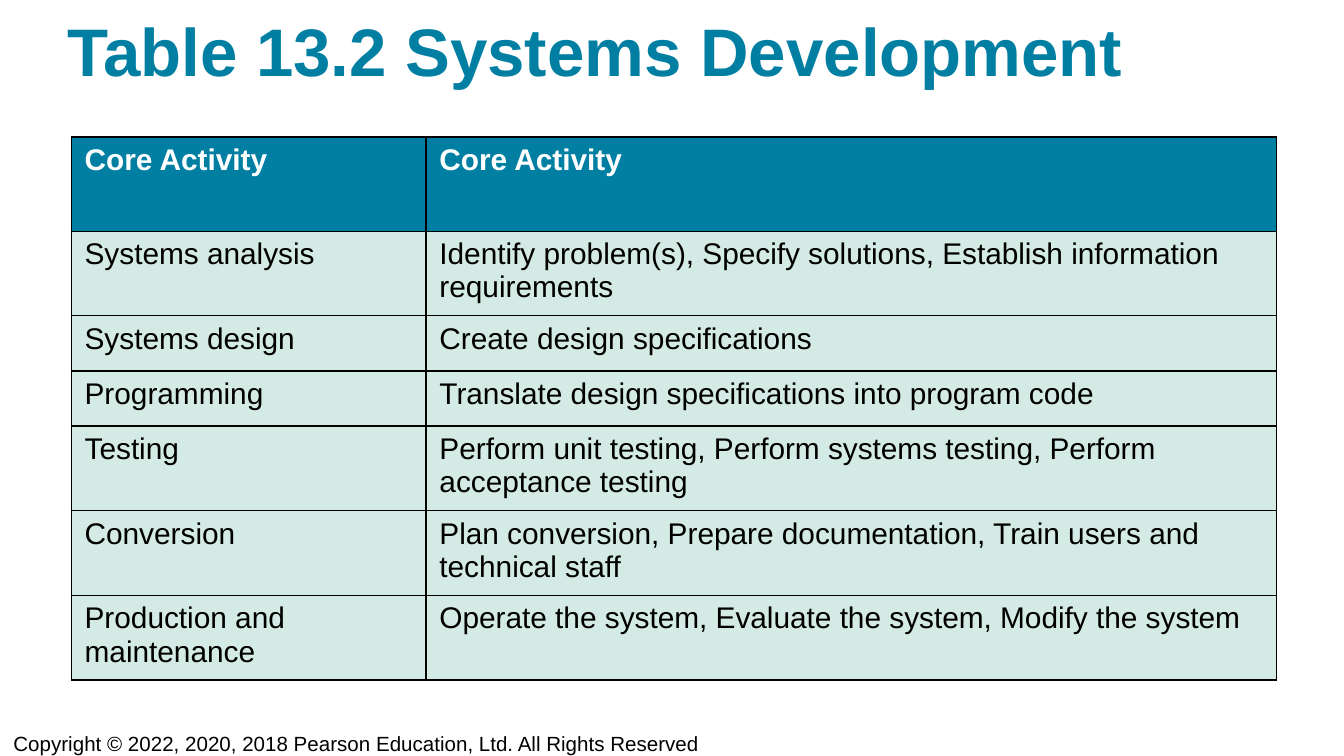
import pptx
import pptx.dml.color
import pptx.enum.text
import pptx.oxml
import pptx.oxml.ns
import pptx.util

Inches = pptx.util.Inches
ANCHOR = pptx.enum.text.MSO_ANCHOR
ALIGN = pptx.enum.text.PP_ALIGN

THEME = {
    "font": "Arial",
    "teal": "007FA3",
    "mint": "D4EAE4",
    "white": "FFFFFF",
    "black": "000000",
    "title": 36,
    "body": 16,
    "footer": 11,
    "border": 0.75,
}

TITLE = "Table 13.2 Systems Development"
HEADER, ONE_LINE, TWO_LINES = 0.7, 0.41, 0.63
ACTIVITIES = [
    (HEADER, "Core Activity", "Core Activity"),
    (TWO_LINES, "Systems analysis", "Identify problem(s), Specify solutions, Establish information requirements"),
    (ONE_LINE, "Systems design", "Create design specifications"),
    (ONE_LINE, "Programming", "Translate design specifications into program code"),
    (TWO_LINES, "Testing", "Perform unit testing, Perform systems testing, Perform acceptance testing"),
    (TWO_LINES, "Conversion", "Plan conversion, Prepare documentation, Train users and technical staff"),
    (TWO_LINES, "Production and maintenance", "Operate the system, Evaluate the system, Modify the system"),
]
COPYRIGHT = "Copyright © 2022, 2020, 2018 Pearson Education, Ltd. All Rights Reserved"

COLUMN_WIDTHS = (2.64, 6.33)


def rgb(name):
    return pptx.dml.color.RGBColor.from_string(THEME[name])


def write(tf, text, size="body", color="black", bold=False):
    tf.word_wrap = True
    p = tf.paragraphs[0]
    p.alignment = ALIGN.LEFT
    r = p.add_run()
    r.text = text
    r.font.name = THEME["font"]
    r.font.size = pptx.util.Pt(THEME[size])
    r.font.bold = bold
    r.font.color.rgb = rgb(color)


def place(sp, left, top, width, height):
    sp.left, sp.top, sp.width, sp.height = map(Inches, (left, top, width, height))
    tf = sp.text_frame
    tf.margin_left = tf.margin_top = tf.margin_right = tf.margin_bottom = 0
    tf.vertical_anchor = ANCHOR.BOTTOM
    return tf


def add_borders(cell):
    tc_pr = cell._tc.get_or_add_tcPr()
    width = pptx.util.Pt(THEME["border"])
    for i, side in enumerate(("lnL", "lnR", "lnT", "lnB")):
        tc_pr.insert(i, pptx.oxml.parse_xml(
            f'<a:{side} {pptx.oxml.ns.nsdecls("a")} w="{width}"><a:solidFill>'
            f'<a:srgbClr val="{THEME["black"]}"/></a:solidFill></a:{side}>'))


def add_activity_table(s):
    total_height = sum(height for height, *_ in ACTIVITIES)
    table = s.shapes.add_table(
        len(ACTIVITIES), len(COLUMN_WIDTHS), Inches(0.53), Inches(1.02),
        Inches(sum(COLUMN_WIDTHS)), Inches(total_height)).table
    for column, width in zip(table.columns, COLUMN_WIDTHS):
        column.width = Inches(width)
    for i, (row, (height, *texts)) in enumerate(zip(table.rows, ACTIVITIES)):
        row.height = Inches(height)
        header = i == 0
        for cell, text in zip(row.cells, texts):
            cell.fill.solid()
            cell.fill.fore_color.rgb = rgb("teal" if header else "mint")
            write(cell.text_frame, text, color="white" if header else "black", bold=header)
            add_borders(cell)


def main():
    prs = pptx.Presentation()
    prs.slide_width = Inches(10)
    prs.slide_height = prs.slide_width * 9 // 16
    s = prs.slides.add_slide(prs.slide_layouts[5])
    tf = place(s.shapes.title, 0.5, 0.06, 9, 0.61)
    write(tf, TITLE, size="title", color="teal", bold=True)
    add_activity_table(s)
    footer = s.shapes.add_textbox(0, 0, 0, 0)
    write(place(footer, 0.1, 5.26, 9.4, 0.36), COPYRIGHT, size="footer")
    prs.save("out.pptx")


if __name__ == "__main__":
    main()
